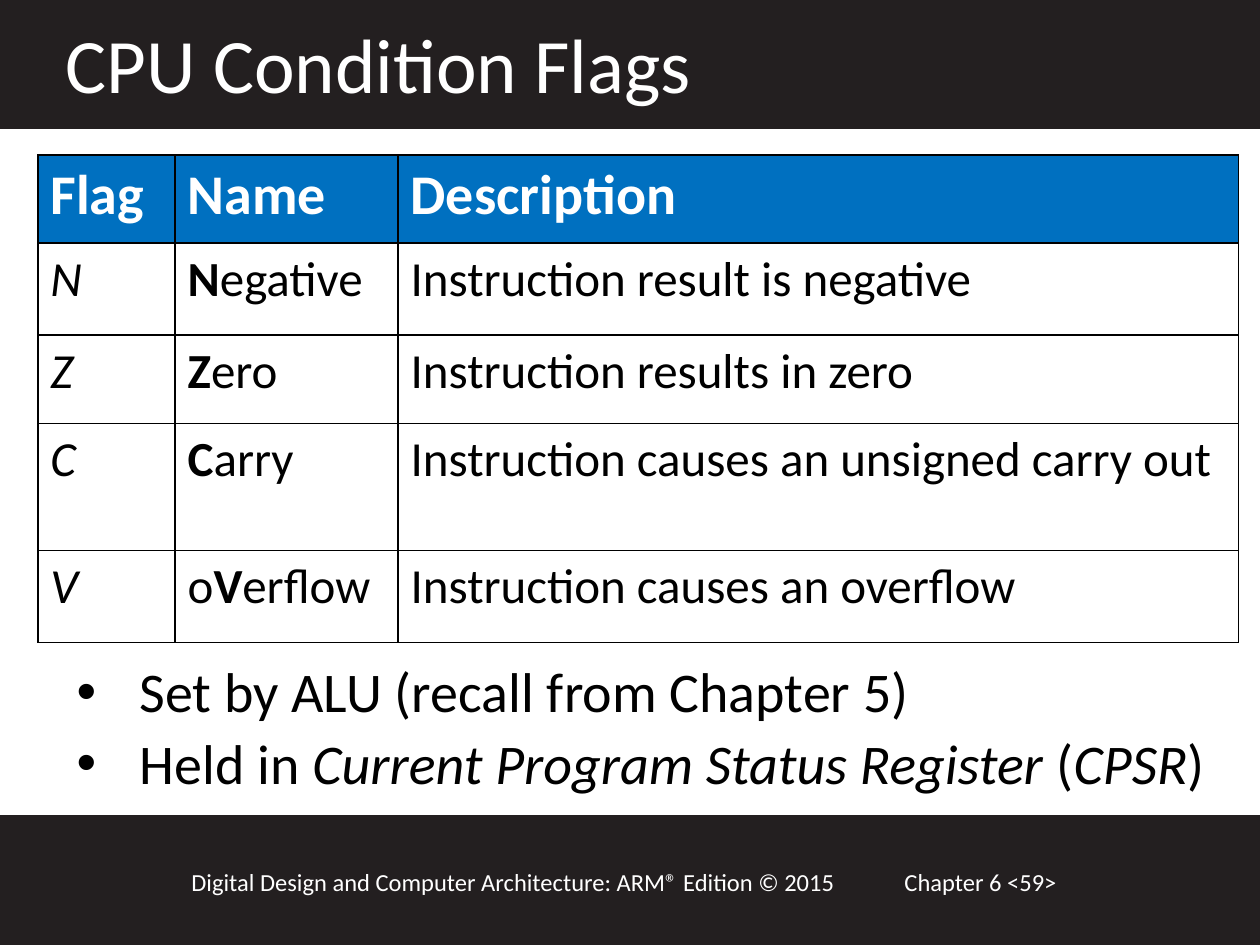
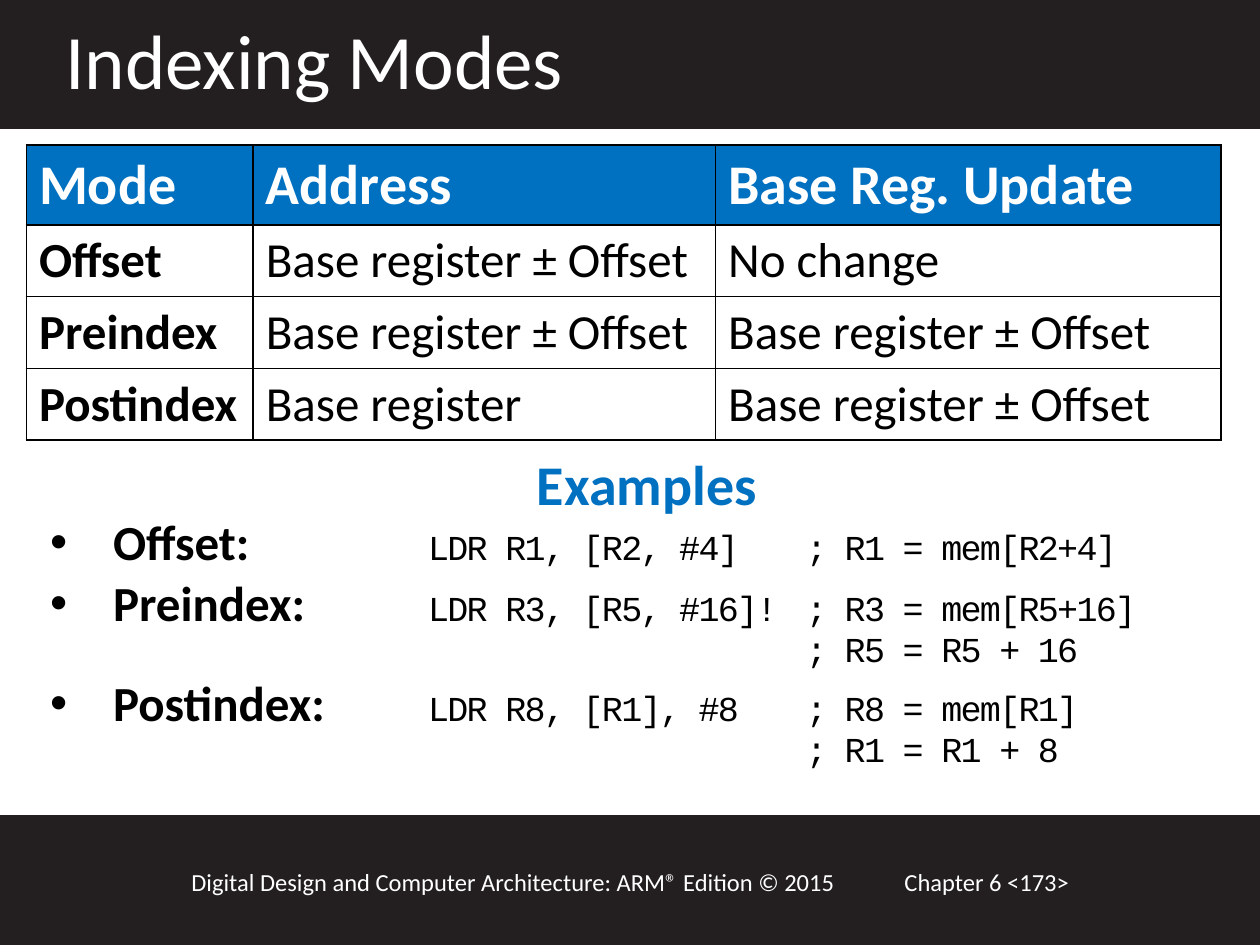
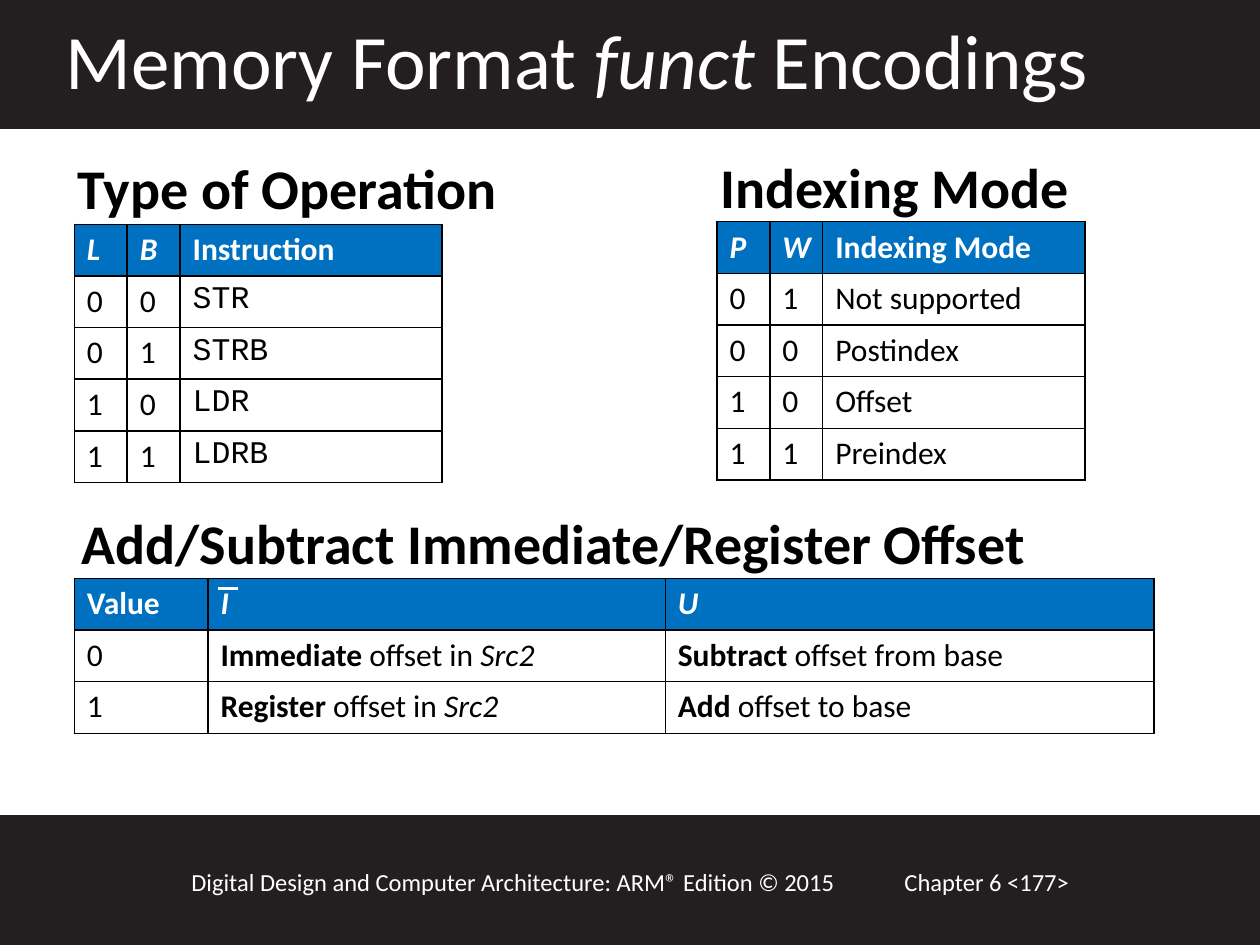
from dataclasses import dataclass

from lxml.etree import SubElement
from pptx import Presentation
from pptx.dml.color import RGBColor as RGB
from pptx.enum.shapes import MSO_CONNECTOR as LINK, MSO_SHAPE as SHAPE
from pptx.enum.text import MSO_ANCHOR as ANCHOR, MSO_AUTO_SIZE as AUTO, PP_ALIGN as ALIGN
from pptx.oxml.ns import qn
from pptx.util import Inches, Pt


@dataclass(frozen=True)
class Theme:
    dark: RGB = RGB(0x23, 0x1F, 0x20)
    blue: RGB = RGB(0x00, 0x70, 0xC0)
    white: RGB = RGB(0xFF, 0xFF, 0xFF)
    black: RGB = RGB(0, 0, 0)
    font: str = "Calibri"
    mono: str = "Courier New"
    title: int = 44
    head: int = 32
    body: int = 28
    code: int = 20
    small: int = 18
    foot: int = 14


T = Theme()
FOOTER = "Digital Design and Computer Architecture: ARM® Edition © 2015"


def write(par, runs, size, color, bold=False):
    """Add runs: a string, or pairs of text and style letters (b, i, m for mono)."""
    pairs = [(runs, "")] if isinstance(runs, str) else runs
    for text, style in pairs:
        run = par.add_run()
        run.text = text
        font = run.font
        font.name = T.mono if "m" in style else T.font
        font.size = Pt(size)
        font.color.rgb = color
        font.bold = bold or "b" in style
        font.italic = "i" in style


def add_box(slide, left, top, width, height, wrap=True):
    box = slide.shapes.add_textbox(*map(Inches, (left, top, width, height)))
    box.text_frame.word_wrap = wrap
    return box


def add_label(slide, text, left, top, width, height, size, color, bold=False, wrap=True):
    box = add_box(slide, left, top, width, height, wrap)
    write(box.text_frame.paragraphs[0], text, size, color, bold)
    return box


def add_head(slide, text, left, top, width):
    box = add_label(slide, text, left, top, width, 0.59, T.head, T.black, True, False)
    box.text_frame.paragraphs[0].line_spacing = 0.9


def add_band(slide, top, height):
    band = slide.shapes.add_shape(
        SHAPE.RECTANGLE, 0, Inches(top), Inches(10), Inches(height))
    band.shadow.inherit = False
    band.fill.solid()
    band.fill.fore_color.rgb = T.dark
    band.line.color.rgb = T.dark
    band.line.width = Pt(2)
    return band


def dress(layout, slide):
    """Build the bands and footer on a slide, then move them to its layout."""
    for holder in list(layout.placeholders):
        if holder.placeholder_format.idx:
            holder.element.getparent().remove(holder.element)
    parts = [
        add_band(slide, 6.48, 1.02),
        add_band(slide, 0, 1.01),
        add_label(slide, FOOTER, 1.42, 6.83, 5.75, 0.34, T.foot, T.white),
    ]
    for part in parts:
        layout.shapes.element.append(part.element)


def fill_slide(slide, title, page, top=0.05):
    """Set the title and the page number."""
    shape = slide.shapes.title
    shape.left, shape.top, shape.width, shape.height = map(
        Inches, (0.42, top, 9.49, 0.84))
    frame = shape.text_frame
    frame.auto_size = AUTO.NONE
    frame.vertical_anchor = ANCHOR.TOP
    frame.paragraphs[0].alignment = ALIGN.LEFT
    write(frame.paragraphs[0], title, T.title, T.white)
    add_label(slide, f"Chapter 6 <{page}>", 7.08, 6.83, 2.17, 0.34, T.foot, T.white)


def add_edges(cell):
    props = cell._tc.get_or_add_tcPr()
    for at, side in enumerate(("lnL", "lnR", "lnT", "lnB")):
        edge = props.makeelement(qn(f"a:{side}"), {"w": str(Pt(1))})
        fill = SubElement(edge, qn("a:solidFill"))
        SubElement(fill, qn("a:srgbClr"), val=str(T.black))
        props.insert(at, edge)


def add_grid(slide, left, top, cols, rows, cells, head, body):
    """Add a table; head and body are the type sizes."""
    grid = slide.shapes.add_table(
        len(rows), len(cols), Inches(left), Inches(top),
        Inches(sum(cols)), Inches(sum(rows))).table
    for col, width in zip(grid.columns, cols):
        col.width = Inches(width)
    for at, (row, height) in enumerate(zip(grid.rows, rows)):
        row.height = Inches(height)
        first = at == 0
        for cell, runs in zip(row.cells, cells[at]):
            cell.fill.solid()
            cell.fill.fore_color.rgb = T.blue if first else T.white
            add_edges(cell)
            write(cell.text_frame.paragraphs[0], runs, head if first else body,
                  T.white if first else T.black, first)


def add_bullet(par, tabs=()):
    """Give a paragraph a bullet, a hanging indent and tab stops in inches."""
    props = par._p.get_or_add_pPr()
    props.set("marL", str(Inches(0.5)))
    props.set("indent", str(Inches(-0.5)))
    SubElement(props, qn("a:buFont"), typeface="Arial")
    SubElement(props, qn("a:buChar"), char="•")
    if tabs:
        stops = SubElement(props, qn("a:tabLst"))
        for stop in tabs:
            SubElement(stops, qn("a:tab"), pos=str(Inches(stop)), algn="l")


def add_code(par, text):
    write(par, [(text, "m")], T.code, T.black)
    par.runs[-1]._r.get_or_add_rPr().set("spc", "-100")


def add_case(frame, name, code, notes, gap):
    """Add a named line of code, with its further notes below."""
    par = frame.add_paragraph()
    add_bullet(par, (3, 6))
    par.line_spacing = 0.9
    par.space_before = Pt(gap)
    write(par, name, T.body, T.black, True)
    add_code(par, f"\t{code}\t{notes[0]}")
    for note in notes[1:]:
        par = frame.add_paragraph()
        par._p.get_or_add_pPr().set("marL", str(Inches(6)))
        par.line_spacing = 0.9
        add_code(par, note)


def draw_flags(slide):
    fill_slide(slide, "CPU Condition Flags", 59, 0.08)
    cells = [
        ["Flag", "Name", "Description"],
        [[("N", "i")], [("N", "b"), ("egative", "")], "Instruction result is negative"],
        [[("Z", "i")], [("Z", "b"), ("ero", "")], "Instruction results in zero"],
        [[("C", "i")], [("C", "b"), ("arry", "")],
         "Instruction causes an unsigned carry out"],
        [[("V", "i")], [("o", ""), ("V", "b"), ("erflow", "")],
         "Instruction causes an overflow"],
    ]
    add_grid(slide, 0.3, 1.23, [1.09, 1.77, 6.67], [0.7, 0.73, 0.7, 1.01, 0.73],
             cells, T.head, T.body)
    points = [
        "Set by ALU (recall from Chapter 5)",
        [("Held in ", ""), ("Current Program Status Register", "i"), (" (", ""),
         ("CPSR", "i"), (")", "")],
    ]
    frame = add_box(slide, 0.51, 5.22, 9.42, 1.34).text_frame
    for at, runs in enumerate(points):
        par = frame.add_paragraph() if at else frame.paragraphs[0]
        add_bullet(par)
        par.line_spacing = 0.9
        par.space_before = Pt(6.4 if at else 0)
        write(par, runs, T.head, T.black)


def draw_modes(slide):
    fill_slide(slide, "Indexing Modes", 173)
    both = "Base register ± Offset"
    cells = [
        ["Mode", "Address", "Base Reg. Update"],
        [[("Offset", "b")], both, "No change"],
        [[("Preindex", "b")], both, both],
        [[("Postindex", "b")], "Base register", both],
    ]
    add_grid(slide, 0.21, 1.15, [1.8, 3.67, 4.01], [0.57] * 4, cells, T.head, T.body)
    frame = add_box(slide, 0.3, 3.58, 9.67, 1.83).text_frame
    par = frame.paragraphs[0]
    par.alignment = ALIGN.CENTER
    par.line_spacing = 0.9
    write(par, "Examples", T.head, T.blue, True)
    add_case(frame, "Offset:", "LDR R1, [R2, #4]", ["; R1 = mem[R2+4]"], 0)
    add_case(frame, "Preindex:", "LDR R3, [R5, #16]!",
             ["; R3 = mem[R5+16]", "; R5 = R5 + 16"], 5)
    add_case(frame, "Postindex:", "LDR R8, [R1], #8",
             ["; R8 = mem[R1]", "; R1 = R1 + 8"], 5)


def add_bar(slide, left, right, top):
    """Draw the overline of a negated bit."""
    bar = slide.shapes.add_connector(
        LINK.STRAIGHT, Inches(left), Inches(top), Inches(right), Inches(top))
    bar.line.color.rgb = T.white
    bar.line.width = Pt(2)
    SubElement(bar.element.spPr, qn("a:effectLst"))


def draw_funct(slide):
    fill_slide(slide, [("Memory Format ", ""), ("funct", "i"), (" Encodings", "")], 177)
    high = 0.41
    bits = [0.42, 0.42, 2.08]
    ops = [
        [[("L", "i")], [("B", "i")], "Instruction"],
        *[[left, right, [(name, "m")]] for left, right, name in (
            ("0", "0", "STR"), ("0", "1", "STRB"),
            ("1", "0", "LDR"), ("1", "1", "LDRB"))],
    ]
    modes = [
        [[("P", "i")], [("W", "i")], "Indexing Mode"],
        ["0", "1", "Not supported"],
        ["0", "0", "Postindex"],
        ["1", "0", "Offset"],
        ["1", "1", "Preindex"],
    ]
    signs = [
        ["Value", [("I", "i")], [("U", "i")]],
        *[[bit, [(kind, "b"), (" offset in ", ""), ("Src2", "i")],
           [(verb, "b"), (rest, "")]] for bit, kind, verb, rest in (
            ("0", "Immediate", "Subtract", " offset from base"),
            ("1", "Register", "Add", " offset to base"))],
    ]
    add_head(slide, "Type of Operation", 0.52, 1.23, 3.56)
    add_head(slide, "Indexing Mode", 5.62, 1.22, 2.99)
    add_head(slide, "Add/Subtract Immediate/Register Offset", 0.55, 4.05, 7.77)
    for left, top, cols, cells in (
            (0.59, 1.78, bits, ops),
            (5.69, 1.76, bits, modes),
            (0.59, 4.59, [1.06, 3.63, 3.88], signs)):
        add_grid(slide, left, top, cols, [high] * len(cells), cells, T.small, T.small)
    add_bar(slide, 1.73, 1.89, 4.67)


def main():
    deck = Presentation()
    deck.slide_width, deck.slide_height = Inches(10), Inches(7.5)
    layout = deck.slide_layouts[5]
    for at, draw in enumerate((draw_flags, draw_modes, draw_funct)):
        slide = deck.slides.add_slide(layout)
        if at == 0:
            dress(layout, slide)
        draw(slide)
    deck.save("out.pptx")


if __name__ == "__main__":
    main()
